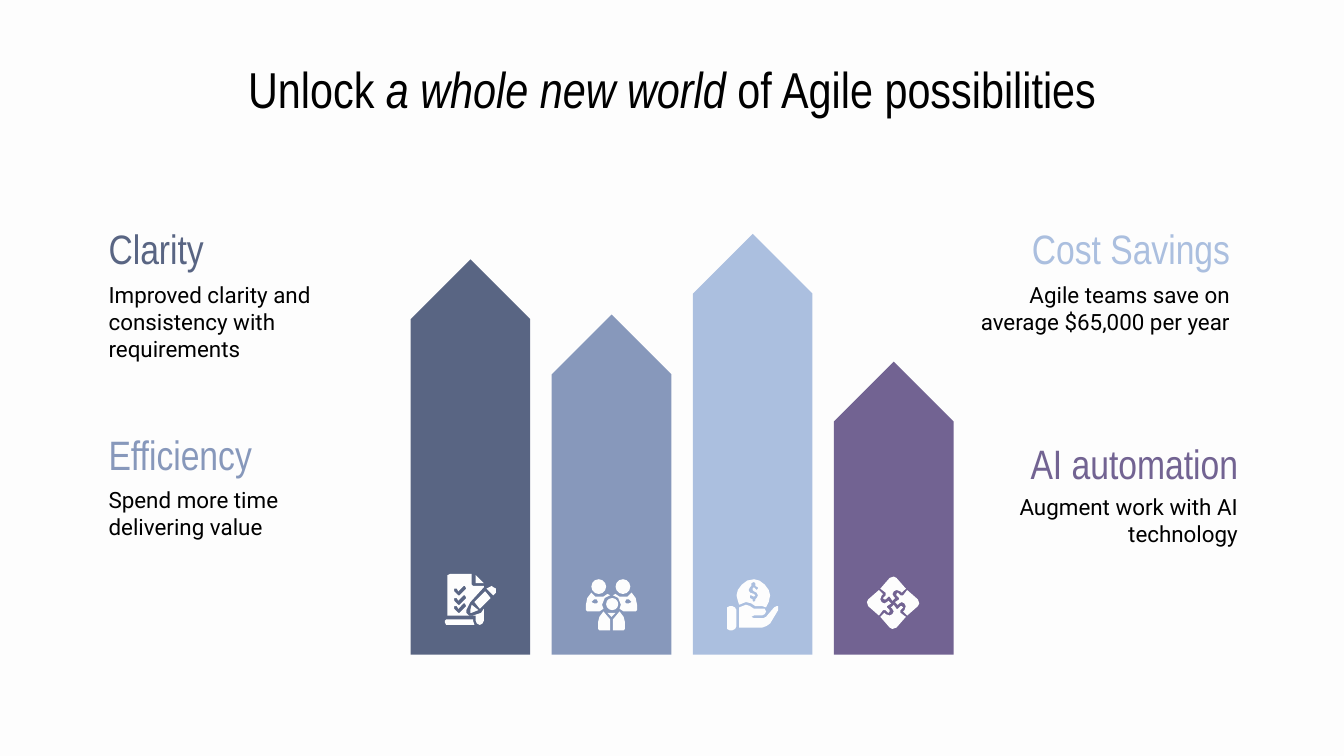
from pptx import Presentation
from pptx.dml.color import RGBColor
from pptx.enum.shapes import MSO_SHAPE
from pptx.enum.text import MSO_ANCHOR, PP_ALIGN
from pptx.util import Inches, Pt

COLORS = {
    "paper": "FDFDFD", "ink": "000000", "clarity": "596583",
    "efficiency": "8798BB", "savings": "ABBFDF", "automation": "726392",
}
HEADING_FONT, BODY_FONT = "Arial Narrow", "Roboto"

TITLE = [("Unlock ", False), ("a whole new world", True),
         (" of Agile possibilities", False)]

# heading, body, colour, left, heading top, body top, alignment
BENEFITS = [
    ("Clarity", "Improved clarity and consistency with requirements",
     "clarity", 0.71, 1.61, 1.99, PP_ALIGN.LEFT),
    ("Efficiency", "Spend more time delivering value",
     "efficiency", 0.71, 3.14, 3.52, PP_ALIGN.LEFT),
    ("Cost Savings", "Agile teams save on average $65,000 per year",
     "savings", 7.19, 1.61, 1.99, PP_ALIGN.RIGHT),
    ("AI automation", "Augment work with AI technology",
     "automation", 7.25, 3.21, 3.57, PP_ALIGN.RIGHT),
]

# colour and top of each arrow, left to right
ARROWS = [("clarity", 1.93), ("efficiency", 2.34), ("savings", 1.74), ("automation", 2.69)]
FIRST_CENTER, ARROW_PITCH, ARROW_WIDTH, ARROW_BOTTOM = 3.5, 1.05, 0.89, 4.87

# Icon outlines, in hundredths of an inch; each piece is a list of contours,
# where contours after the first cut holes.
CHECK_MARK = [(346, 436), (347, 438), (342, 443), (341, 443), (338, 440),
              (338, 438), (340, 438), (341, 440), (345, 436)]
DOCUMENT = [
    [[(335, 427), (333, 428), (333, 458), (354, 458), (354, 462), (355, 464), (357, 465),
      (359, 464), (360, 462), (360, 453), (358, 456), (352, 458), (349, 458), (347, 456),
      (347, 454), (350, 448), (360, 437), (360, 436), (352, 436), (351, 435), (351, 427)]]
    + [[(x, y + drop) for x, y in CHECK_MARK] for drop in (0, 7, 13)],
    [[(366, 436), (364, 437), (362, 438), (367, 443), (369, 441), (369, 438), (367, 437)]],
    [[(351, 450), (350, 454), (350, 456), (351, 456), (356, 454)]],
    [[(361, 440), (353, 448), (357, 453), (365, 445)]],
    [[(354, 428), (354, 434), (360, 434)]],
    [[(332, 461), (331, 462), (331, 463), (332, 465), (333, 465), (353, 465), (352, 462),
      (352, 461)]],
]

TORSO = [[(449, 455), (446, 459), (445, 463), (445, 468), (446, 469), (454, 469), (454, 461)]]
ARM = [
    [(440, 441), (437, 445), (436, 450), (436, 454), (437, 455), (446, 455), (449, 453),
     (448, 450), (450, 445), (454, 443), (452, 442), (449, 444), (446, 444), (443, 444)],
    [(444, 446), (445, 448), (444, 449), (442, 449), (440, 448), (442, 446)],
]
COLLAR = [[(452, 456), (455, 459), (458, 456), (455, 456)]]


def mirrored(piece, axis=455):
    return [[(2 * axis - x, y) for x, y in contour] for contour in piece]


TEAM = [TORSO, mirrored(TORSO), ARM, mirrored(ARM), COLLAR]
TEAM_HEADS = [(4.51, 4.45, 0.09), (4.4, 4.31, 0.11), (4.58, 4.31, 0.11)]

HAND_AND_COIN = [
    [[(543, 451), (541, 452), (541, 468), (543, 469), (545, 469), (547, 468), (548, 466),
      (548, 454), (547, 452), (545, 451)]],
    [[(561, 431), (556, 432), (552, 435), (549, 439), (548, 443), (549, 447), (550, 450),
      (555, 448), (559, 449), (562, 451), (567, 451), (570, 452), (572, 448), (573, 443),
      (572, 439), (569, 435), (565, 432)],
     [(561, 433), (562, 434), (562, 436), (564, 437), (564, 438), (563, 439), (561, 437),
      (560, 438), (560, 439), (561, 440), (563, 441), (564, 443), (563, 445), (562, 446),
      (562, 447), (561, 448), (560, 447), (560, 446), (558, 445), (558, 443), (559, 443),
      (561, 444), (562, 443), (561, 442), (558, 441), (557, 439), (558, 437), (559, 436),
      (559, 434)]],
    [[(555, 450), (550, 452), (550, 467), (567, 467), (570, 466), (573, 464), (579, 454),
      (579, 451), (578, 451), (576, 452), (570, 459), (568, 460), (561, 460), (559, 459),
      (561, 458), (567, 458), (569, 457), (570, 455), (569, 453), (567, 453), (561, 453),
      (558, 451)]],
]

PUZZLE_PIECE = [[
    (654, 439), (646, 446), (645, 448), (646, 451), (654, 458), (657, 454), (659, 454),
    (660, 455), (661, 456), (662, 455), (662, 454), (660, 452), (660, 451), (663, 449),
    (661, 447), (660, 448), (658, 449), (656, 448), (655, 446), (656, 443), (657, 442)]]


def quarter_turns(piece, sum_xy=1113, diff_xy=216):
    """The piece in its four positions around the puzzle centre (664.5, 448.5)."""
    turns = [piece]
    for _ in range(3):
        turns.append([[(sum_xy - y, x - diff_xy) for x, y in contour]
                      for contour in turns[-1]])
    return turns


ICONS = [DOCUMENT, TEAM, HAND_AND_COIN, quarter_turns(PUZZLE_PIECE)]


def rgb(name):
    return RGBColor.from_string(COLORS[name])


def paint(shape, color):
    shape.shadow.inherit = False
    shape.fill.solid()
    shape.fill.fore_color.rgb = rgb(color)
    shape.line.fill.background()


def add_text(slide, runs, left, top, width, height, *, size, font, color="ink",
             align=PP_ALIGN.LEFT, anchor=MSO_ANCHOR.MIDDLE):
    """Add a text box; runs is a list of (text, italic)."""
    box = slide.shapes.add_textbox(Inches(left), Inches(top), Inches(width), Inches(height))
    frame = box.text_frame
    frame.word_wrap = True
    frame.vertical_anchor = anchor
    frame.margin_left = frame.margin_right = Inches(0.1)
    frame.margin_top = frame.margin_bottom = Inches(0.1)
    paragraph = frame.paragraphs[0]
    paragraph.alignment = align
    for text, italic in runs:
        run = paragraph.add_run()
        run.text = text
        run.font.name = font
        run.font.size = Pt(size)
        run.font.italic = italic
        run.font.color.rgb = rgb(color)


def add_arrow(slide, center, top, color):
    length = ARROW_BOTTOM - top
    middle = (top + ARROW_BOTTOM) / 2
    arrow = slide.shapes.add_shape(
        MSO_SHAPE.PENTAGON, Inches(center - length / 2), Inches(middle - ARROW_WIDTH / 2),
        Inches(length), Inches(ARROW_WIDTH))
    arrow.rotation = 270
    paint(arrow, color)


def add_piece(slide, contours):
    outline, *holes = contours
    builder = slide.shapes.build_freeform(*outline[0], scale=Inches(0.01))
    builder.add_line_segments(outline[1:], close=True)
    for hole in holes:
        builder.move_to(*hole[0])
        builder.add_line_segments(hole[1:], close=True)
    paint(builder.convert_to_shape(), "paper")


def main():
    deck = Presentation()
    deck.slide_width = Inches(10)
    deck.slide_height = deck.slide_width * 9 // 16
    slide = deck.slides.add_slide(deck.slide_layouts[6])
    slide.background.fill.solid()
    slide.background.fill.fore_color.rgb = rgb("paper")

    add_text(slide, TITLE, 0.55, 0.52, 8.9, 0.27, size=27, font=HEADING_FONT,
             align=PP_ALIGN.CENTER)
    for heading, body, color, left, heading_top, body_top, align in BENEFITS:
        add_text(slide, [(heading, False)], left, heading_top, 2.06, 0.47, size=22,
                 font=HEADING_FONT, color=color, align=align)
        add_text(slide, [(body, False)], left, body_top, 2.06, 0.68, size=12,
                 font=BODY_FONT, align=align, anchor=MSO_ANCHOR.TOP)

    for index, ((color, top), icon) in enumerate(zip(ARROWS, ICONS)):
        add_arrow(slide, FIRST_CENTER + index * ARROW_PITCH, top, color)
        for piece in icon:
            add_piece(slide, piece)
    for left, top, diameter in TEAM_HEADS:
        paint(slide.shapes.add_shape(MSO_SHAPE.OVAL, Inches(left), Inches(top),
                                     Inches(diameter), Inches(diameter)), "paper")

    deck.save("out.pptx")


if __name__ == "__main__":
    main()
